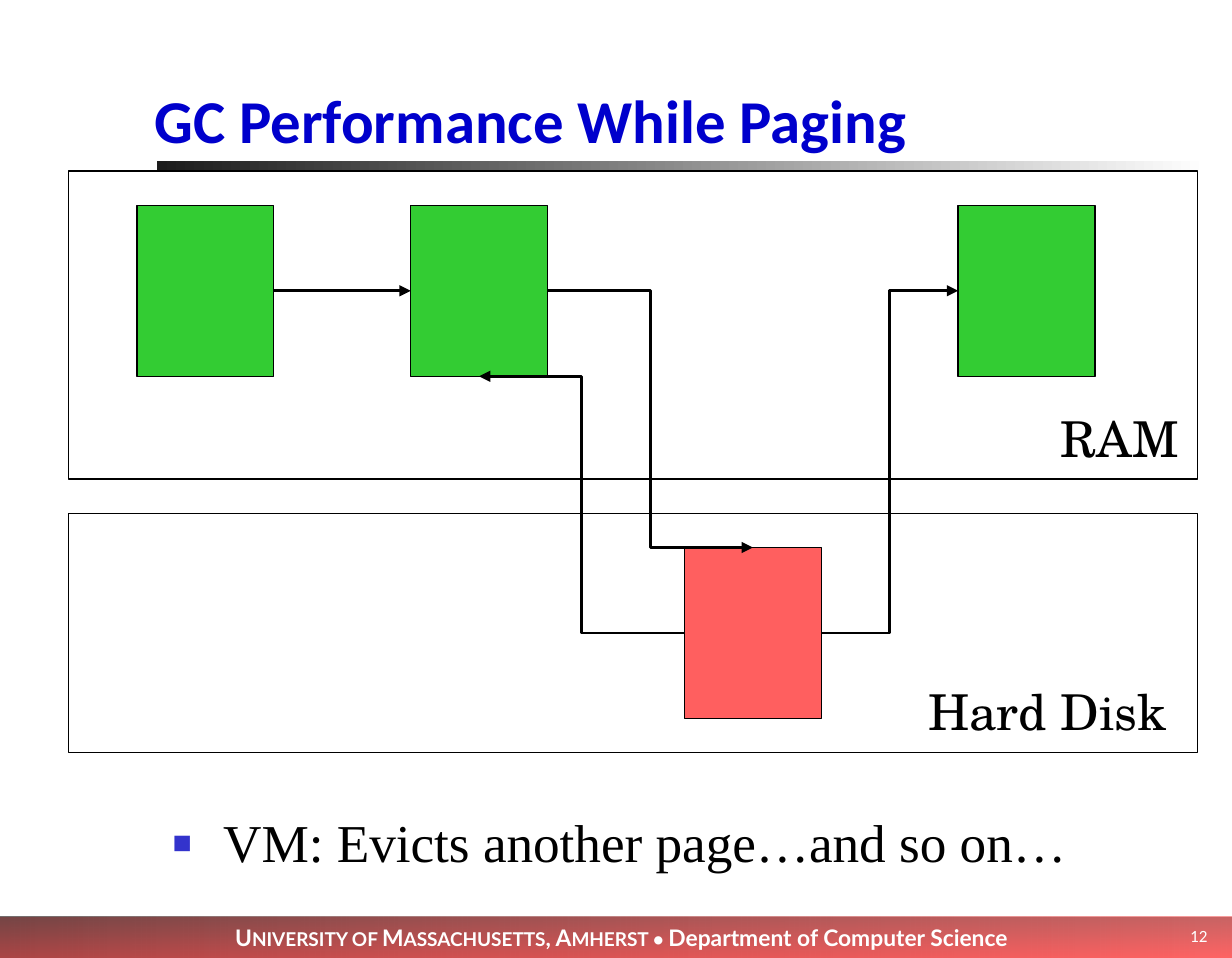
from dataclasses import dataclass

from lxml.etree import SubElement
from pptx import Presentation
from pptx.dml.color import RGBColor
from pptx.enum.shapes import MSO_CONNECTOR, MSO_SHAPE
from pptx.enum.text import MSO_ANCHOR, PP_ALIGN
from pptx.oxml.ns import qn
from pptx.util import Pt

HUES = {
    "black": "000000", "white": "FFFFFF", "green": "33CC33", "coral": "FF5F5F",
    "blue": "0000CC", "bullet": "3333CC", "red": "FF0000", "maroon": "760000",
    "coal": "1C1C1C",
}
Area = tuple[float, float, float, float]


@dataclass
class Band:
    area: Area
    stops: tuple[str, str]
    alphas: tuple[int, int]
    angle: int  # counterclockwise degrees


@dataclass
class Block:
    area: Area
    fill: str | None = None


@dataclass
class Arrow:
    start: tuple[float, float]
    end: tuple[float, float]


@dataclass
class Label:
    area: Area
    runs: list[tuple[str, float]]
    font: str
    hue: str = "black"
    bold: bool = False
    align: PP_ALIGN = PP_ALIGN.LEFT
    anchor: MSO_ANCHOR = MSO_ANCHOR.TOP
    inset: tuple[float, float] = (0, 0)
    wrap: bool = True
    lead: float = 0.97
    bullet: bool = False
    fill: str | None = None


def color(name: str) -> RGBColor:
    return RGBColor.from_string(HUES[name])


def add_rect(slide, area: Area):
    rect = slide.shapes.add_shape(MSO_SHAPE.RECTANGLE, *map(Pt, area))
    rect.shadow.inherit = False
    return rect


def draw_band(slide, band: Band) -> None:
    rect = add_rect(slide, band.area)
    rect.line.fill.background()
    rect.fill.gradient()
    rect.fill.gradient_angle = band.angle
    for stop, name in zip(rect.fill.gradient_stops, band.stops):
        stop.color.rgb = color(name)
    for node, alpha in zip(rect._element.spPr.iter(qn("a:srgbClr")), band.alphas):
        SubElement(node, qn("a:alpha"), val=str(alpha * 1000))


def draw_block(slide, block: Block):
    rect = add_rect(slide, block.area)
    if block.fill:
        rect.fill.solid()
        rect.fill.fore_color.rgb = color(block.fill)
    else:
        rect.fill.background()
    rect.line.color.rgb = color("black")
    rect.line.width = Pt(0.75)
    return rect


def draw_arrow(slide, arrow: Arrow):
    flat = arrow.start[1] == arrow.end[1]
    kind = MSO_CONNECTOR.STRAIGHT if flat else MSO_CONNECTOR.ELBOW
    link = slide.shapes.add_connector(kind, *map(Pt, arrow.start + arrow.end))
    link.line.color.rgb = color("black")
    link.line.width = Pt(1.45)
    props = link._element.spPr
    SubElement(props.find(qn("a:ln")), qn("a:tailEnd"), type="triangle")
    SubElement(props, qn("a:effectLst"))
    return link


def add_bullet(para) -> None:
    para.space_before = Pt(7)
    props = para._p.get_or_add_pPr()
    props.set("marL", str(Pt(26.64)))
    props.set("indent", str(Pt(-26.64)))
    # Bullet parts go ahead of the default run settings
    at = props.index(props.find(qn("a:defRPr")))
    tint = SubElement(props, qn("a:buClr"))
    SubElement(tint, qn("a:srgbClr"), val=HUES["bullet"])
    size = SubElement(props, qn("a:buSzPct"), val="60000")
    face = SubElement(props, qn("a:buFont"), typeface="Times New Roman")
    mark = SubElement(props, qn("a:buChar"), char="■")
    for step, node in enumerate((tint, size, face, mark)):
        props.insert(at + step, node)


def draw_label(slide, label: Label) -> None:
    box = slide.shapes.add_textbox(*map(Pt, label.area))
    if label.fill:
        box.fill.solid()
        box.fill.fore_color.rgb = color(label.fill)
    frame = box.text_frame
    frame.word_wrap = label.wrap
    frame.vertical_anchor = label.anchor
    side, edge = map(Pt, label.inset)
    frame.margin_left = frame.margin_right = side
    frame.margin_top = frame.margin_bottom = edge
    para = frame.paragraphs[0]
    para.alignment = label.align
    para.line_spacing = label.lead
    para.font.name = label.font
    para.font.bold = label.bold
    para.font.color.rgb = color(label.hue)
    same = len({size for _, size in label.runs}) == 1
    if same:
        para.font.size = Pt(label.runs[0][1])
    for text, size in label.runs:
        run = para.add_run()
        run.text = text
        if not same:
            run.font.size = Pt(size)
    if label.bullet:
        add_bullet(para)


# Footer layers and the rule under the title
BANDS = [
    Band((0, 482.4, 648, 23.76), ("red", "black"), (35, 55), 180),
    Band((0, 482.4, 653.76, 21.6), ("maroon", "red"), (40, 40), 270),
    Band((82.8, 84.96, 552.96, 5.76), ("white", "coal"), (100, 100), 180),
]

# Memory pages, one inch wide
WIDE, HIGH, TOP, LOW = 72, 90, 108, 288
PAGES = [Block((x, TOP, WIDE, HIGH), "green") for x in (72, 216, 504)]
PAGES.append(Block((360, LOW, WIDE, HIGH), "coral"))
PANELS = [Block((36, 90, 594, 162)), Block((36, 270, 594, 126))]

# Links between pages
MID, DEEP = TOP + HIGH / 2, LOW + HIGH / 2
FIRST = Arrow((144, MID), (216, MID))
BENDS = [
    Arrow((288, MID), (396, LOW)),
    Arrow((432, DEEP), (504, MID)),
    Arrow((360, DEEP), (252, TOP + HIGH)),
]

SERIF = "TeX Gyre Schola"
LABELS = [
    Label((81.36, 36, 552.24, 56.88), [("GC Performance While Paging", 32)],
          "Calibri", "blue", True, anchor=MSO_ANCHOR.MIDDLE),
    Label((558, 216.72, 64.8, 30.24), [("RAM", 26)], SERIF, wrap=False, fill="white"),
    Label((488.16, 360, 133.92, 30.24), [("Hard Disk", 26)], SERIF, wrap=False),
    Label((84.24, 426.24, 550.8, 38.16), [("VM: Evicts another page…and so on…", 28)],
          "Times New Roman", inset=(6.5, 3.6), lead=0.9, bullet=True),
    Label((0, 482.4, 653.76, 21.6),
          [("U", 12), ("NIVERSITY OF ", 10), ("M", 12), ("ASSACHUSETTS", 10),
           (", A", 12), ("MHERST • ", 10), ("Department of Computer Science", 12)],
          "Lato", "white", True, PP_ALIGN.CENTER, MSO_ANCHOR.MIDDLE, (7.2, 3.6), lead=1.0),
    Label((594, 480.24, 48.24, 23.76), [("12", 9)], "Calibri", "white",
          align=PP_ALIGN.RIGHT, anchor=MSO_ANCHOR.MIDDLE, inset=(7.2, 3.6), lead=1.0),
]


def main() -> None:
    deck = Presentation()
    deck.slide_width, deck.slide_height = Pt(648), Pt(504)
    slide = deck.slides.add_slide(deck.slide_layouts[6])
    for band in BANDS:
        draw_band(slide, band)
    pages = [draw_block(slide, page) for page in PAGES]
    link = draw_arrow(slide, FIRST)
    link.begin_connect(pages[0], 3)
    link.end_connect(pages[1], 1)
    for bend in BENDS:
        draw_arrow(slide, bend)
    for panel in PANELS:
        draw_block(slide, panel)
    for label in LABELS:
        draw_label(slide, label)
    deck.save("out.pptx")


if __name__ == "__main__":
    main()
